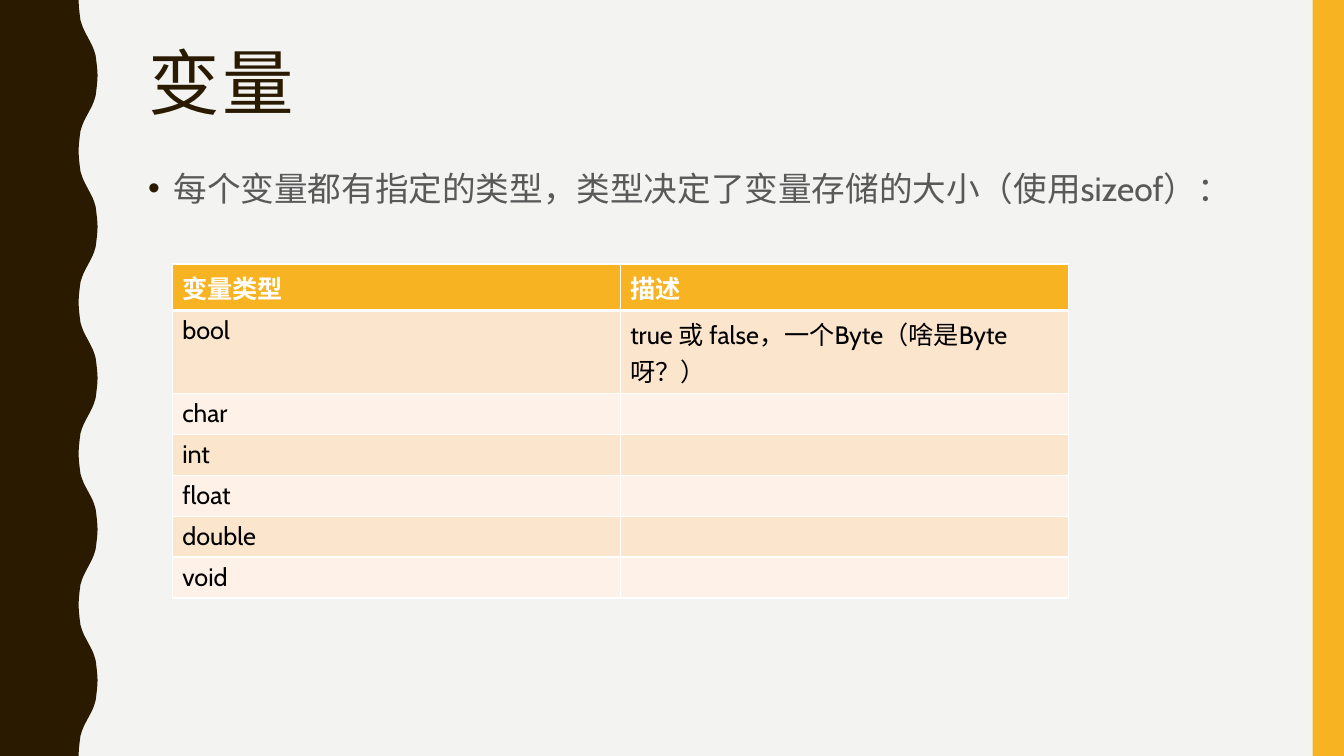
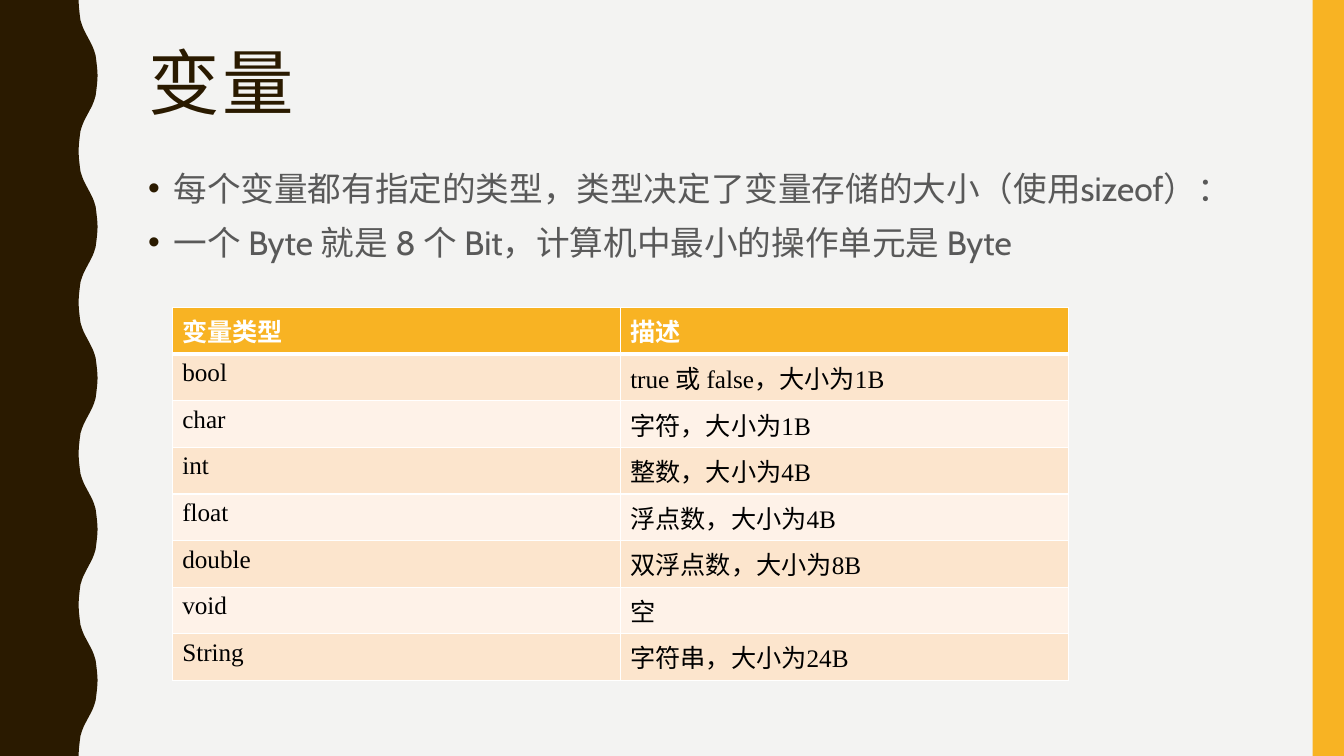
import pptx
import pptx.dml.color
import pptx.enum.shapes
import pptx.enum.text
import pptx.oxml
import pptx.oxml.ns
import pptx.util

Cm = pptx.util.Cm
Pt = pptx.util.Pt

INTRO = "每个变量都有指定的类型，类型决定了变量存储的大小（使用sizeof）："
HEADER = ("变量类型", "描述")
SLIDES = [
    {
        "title": "变量",
        "bullets": [INTRO],
        "table_top": 6.65,
        "cell_font": "Cabin",
        "rows": [
            ("bool", "true 或 false，一个Byte（啥是Byte呀？）"),
            ("char", ""),
            ("int", ""),
            ("float", ""),
            ("double", ""),
            ("void", ""),
        ],
    },
    {
        "title": "变量",
        "bullets": [INTRO, "一个 Byte 就是 8 个 Bit，计算机中最小的操作单元是 Byte"],
        "table_top": 7.75,
        "cell_font": "Times New Roman",
        "rows": [
            ("bool", "true 或 false，大小为1B"),
            ("char", "字符，大小为1B"),
            ("int", "整数，大小为4B"),
            ("float", "浮点数，大小为4B"),
            ("double", "双浮点数，大小为8B"),
            ("void", "空"),
            ("String", "字符串，大小为24B"),
        ],
    },
]

THEME = {
    "background": "F3F3F2",
    "dark": "2A1A00",
    "accent": "F8B323",
    "border": "FFFFFF",
    "bands": ("FCE5CD", "FEF2E8"),
    "title": {"name": "Arial Narrow", "size": Pt(51), "color": "2A1A00"},
    "body": {"name": "Cabin", "size": Pt(24), "color": "595959"},
    "header": {"name": "Cabin", "size": Pt(18), "bold": True, "color": "FFFFFF"},
    "cell": {"size": Pt(18), "bold": False, "color": "000000"},
}
TITLE_PARAGRAPH = {"line_spacing": 0.9, "alignment": pptx.enum.text.PP_ALIGN.LEFT}
BODY_PARAGRAPH = {"line_spacing": 1.1, "space_before": Pt(7)}
TOP_FRAME = {
    "vertical_anchor": pptx.enum.text.MSO_ANCHOR.TOP,
    "auto_size": pptx.enum.text.MSO_AUTO_SIZE.NONE,
    "word_wrap": True,
}

SLIDE_WIDTH, SLIDE_HEIGHT = 33.87, 19.05
BAND_WIDTH = 0.79
PLACEHOLDER_BOXES = {0: (3.48, 1.07, 28.27, 4.14), 1: (3.48, 3.99, 28.27, 12.34)}
TABLE_LEFT, COLUMN_WIDTH, ROW_HEIGHT = 4.34, 11.29, 1.03
WAVE_COUNT = 5
WAVE_LENGTH = SLIDE_HEIGHT / WAVE_COUNT
WAVE_MIDDLE = 2.22
QUARTER_WAVE = [(1.98, 0), (1.99, 0.18), (2.01, 0.36), (2.03, 0.51),
                (2.07, 0.64), (2.11, 0.74), (2.16, 0.84)]


def set_attributes(target, formats):
    for name, value in formats.items():
        setattr(target, name, value)


def rgb(color):
    return pptx.dml.color.RGBColor.from_string(color)


def set_font(font, formats):
    set_attributes(font, {key: value for key, value in formats.items() if key != "color"})
    font.color.rgb = rgb(formats["color"])


def add_xml(parent, markup):
    namespace = pptx.oxml.ns.nsdecls("a")
    parent.append(pptx.oxml.parse_xml(markup.replace(">", f" {namespace}>", 1)))


def paint(shape, color):
    shape.shadow.inherit = False
    shape.fill.solid()
    shape.fill.fore_color.rgb = rgb(color)
    shape.line.fill.background()


def wave_points():
    half = QUARTER_WAVE + [(WAVE_MIDDLE, WAVE_LENGTH / 4)]
    half += [(2 * WAVE_MIDDLE - x, WAVE_LENGTH / 2 - y) for x, y in reversed(QUARTER_WAVE)]
    wave = half + [(x, WAVE_LENGTH - y) for x, y in reversed(half)]
    return [(x, y + WAVE_LENGTH * index) for index in range(WAVE_COUNT) for x, y in wave]


def decorate_layout(layout, slide):
    layout.background.fill.solid()
    layout.background.fill.fore_color.rgb = rgb(THEME["background"])
    for placeholder in layout.placeholders:
        box = PLACEHOLDER_BOXES.get(placeholder.placeholder_format.idx)
        if box:
            set_attributes(placeholder, dict(zip(("left", "top", "width", "height"), map(Cm, box))))
    builder = slide.shapes.build_freeform(0, 0)
    outline = wave_points() + [(0, SLIDE_HEIGHT)]
    builder.add_line_segments([(Cm(x), Cm(y)) for x, y in outline], close=True)
    wave = builder.convert_to_shape()
    band = slide.shapes.add_shape(
        pptx.enum.shapes.MSO_SHAPE.RECTANGLE,
        Cm(SLIDE_WIDTH - BAND_WIDTH), 0, Cm(BAND_WIDTH), Cm(SLIDE_HEIGHT))
    for shape, color in ((wave, THEME["dark"]), (band, THEME["accent"])):
        paint(shape, color)
        layout.shapes.element.append(shape.element)


def fill_title(title, text):
    set_attributes(title.text_frame, TOP_FRAME)
    paragraph = title.text_frame.paragraphs[0]
    set_attributes(paragraph, TITLE_PARAGRAPH)
    run = paragraph.add_run()
    run.text = text
    set_font(run.font, THEME["title"])
    run.font._element.set("spc", "200")


def fill_bullets(body, bullets):
    frame = body.text_frame
    frame.text = "\n".join(bullets)
    set_attributes(frame, TOP_FRAME)
    for paragraph in frame.paragraphs:
        set_attributes(paragraph, BODY_PARAGRAPH)
        set_font(paragraph.runs[0].font, THEME["body"])
        properties = paragraph._p.get_or_add_pPr()
        properties.set("marL", str(Cm(0.64)))
        properties.set("indent", str(-Cm(0.64)))
        add_xml(properties, f'<a:buClr><a:srgbClr val="{THEME["dark"]}"/></a:buClr>')
        add_xml(properties, '<a:buChar char="•"></a:buChar>')


def set_borders(cell, widths):
    properties = cell._tc.get_or_add_tcPr()
    for side, width in widths.items():
        add_xml(properties, f'<a:ln{side} w="{Pt(width)}"><a:solidFill>'
                f'<a:srgbClr val="{THEME["border"]}"/></a:solidFill></a:ln{side}>')


def add_type_table(slide, content):
    rows = [HEADER] + content["rows"]
    table = slide.shapes.add_table(
        len(rows), len(HEADER), Cm(TABLE_LEFT), Cm(content["table_top"]),
        Cm(COLUMN_WIDTH * len(HEADER)), Cm(ROW_HEIGHT * len(rows))).table
    table.horz_banding = False
    cell_font = {**THEME["cell"], "name": content["cell_font"]}
    for row_index, row in enumerate(rows):
        table.rows[row_index].height = Cm(ROW_HEIGHT)
        is_header = row_index == 0
        fill = THEME["accent"] if is_header else THEME["bands"][(row_index - 1) % 2]
        borders = {"L": 1, "R": 1, "T": 3 if row_index == 1 else 1, "B": 3 if is_header else 1}
        for column_index, text in enumerate(row):
            cell = table.cell(row_index, column_index)
            set_borders(cell, borders)
            cell.fill.solid()
            cell.fill.fore_color.rgb = rgb(fill)
            if text:
                cell.text = text
                run = cell.text_frame.paragraphs[0].runs[0]
                set_font(run.font, THEME["header"] if is_header else cell_font)


def main():
    presentation = pptx.Presentation()
    presentation.slide_width = Cm(SLIDE_WIDTH)
    presentation.slide_height = Cm(SLIDE_HEIGHT)
    layout = presentation.slide_layouts[1]
    for index, content in enumerate(SLIDES):
        slide = presentation.slides.add_slide(layout)
        if index == 0:
            decorate_layout(layout, slide)
        fill_title(slide.shapes.title, content["title"])
        fill_bullets(slide.placeholders[1], content["bullets"])
        add_type_table(slide, content)
    presentation.save("out.pptx")


if __name__ == "__main__":
    main()
